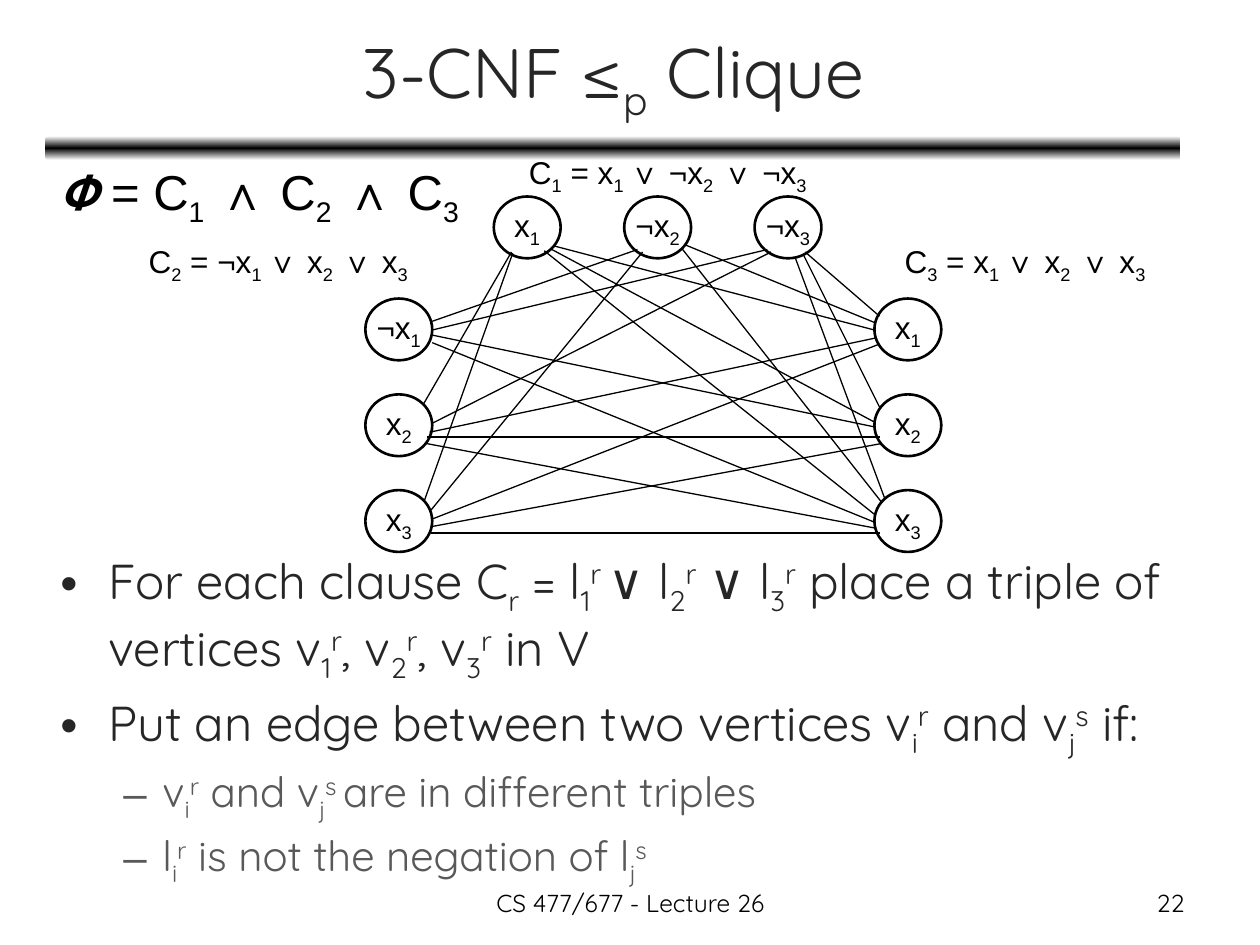
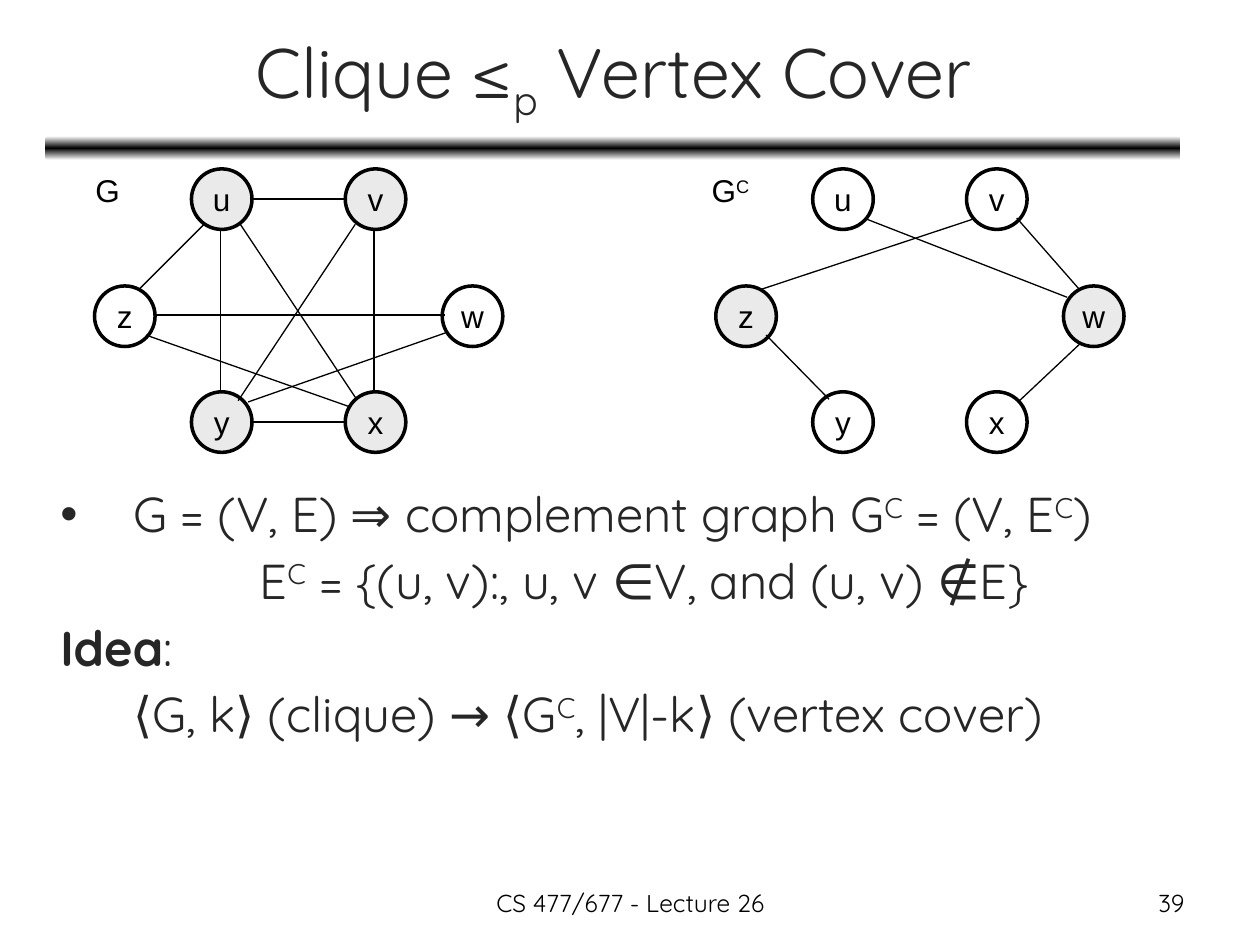
import copy
import itertools

import pptx
import pptx.dml.color
import pptx.enum.shapes
import pptx.enum.text
import pptx.oxml.ns
import pptx.util
from lxml import etree

Pt = pptx.util.Pt
qn = pptx.oxml.ns.qn
Align = pptx.enum.text.PP_ALIGN
Anchor = pptx.enum.text.MSO_ANCHOR
AutoSize = pptx.enum.text.MSO_AUTO_SIZE
Preset = pptx.enum.shapes.MSO_SHAPE

COLOURS = {"ink": "000000", "heading": "262626", "detail": "595959",
           "paper": "FFFFFF", "marked": "EAEAEA"}
BASELINES = {"_": "-25000", "^": "30000"}

CLAUSE_EDGES = [
    (292.3, 144, 241.9, 231.1), (293, 144.7, 242.6, 285.8),
    (316.1, 140.4, 499.7, 188.6), (315.4, 142.6, 499.7, 241.2),
    (311, 143.3, 500.4, 294.5), (364.3, 142.6, 247, 183.6),
    (367.2, 144, 246.2, 291.6), (391, 139.7, 499.7, 184.3),
    (389.5, 141.8, 504, 287.3), (438.5, 142.6, 247, 188.6),
    (440.6, 144, 247, 241.9), (460.1, 144, 502.6, 180.7),
    (459.4, 146.2, 502.6, 232.6), (454.3, 146.9, 505.4, 284.4),
    (247, 191.5, 500.4, 244.1), (247, 195.8, 499, 298.1),
    (245.5, 247, 501.1, 193), (244.1, 249.8, 502.6, 249.8),
    (243.4, 253.4, 499.7, 301.7), (247, 296.6, 502.6, 196.6),
    (246.2, 301, 504, 253.4), (246.2, 304.6, 502.6, 304.6),
]
GRAPH_EDGES = [
    (142.6, 113.8, 197.3, 113.8), (143.3, 241.2, 198, 241.2),
    (89.3, 180, 254.2, 180), (126, 131, 126, 223.9),
    (213.8, 131, 213.8, 223.9), (79.2, 165.6, 116.6, 128.2),
    (83.5, 191.5, 200.2, 232.6), (136.8, 127.4, 203.8, 228.2),
    (203, 128.2, 136.1, 229), (141.8, 229.7, 254.9, 190.1),
]
COMPLEMENT_EDGES = [
    (434.2, 165.6, 555.8, 125.3), (437.8, 191.5, 473.8, 228.2),
    (495.4, 125.3, 609.8, 169.9), (617, 196.6, 581.8, 229.7),
    (581, 124.6, 617, 165.6),
]
VERTICES = {"u": (109.4, 96.5), "v": (197.3, 96.5), "z": (54, 163.4),
            "w": (252.7, 163.4), "y": (109.4, 223.9), "x": (197.3, 223.9)}
COMPLEMENT_SHIFT = 355


def rgb(name):
    return pptx.dml.color.RGBColor.from_string(COLOURS[name])


def marked_letters(text):
    letters = iter(text)
    for letter in letters:
        if letter in BASELINES:
            yield letter, next(letters)
        else:
            yield "", letter


class LectureDeck:
    body_font = "Quicksand"
    diagram_font = "Arial"

    def __init__(self):
        self.deck = pptx.Presentation()
        self.deck.slide_width = Pt(720)
        self.deck.slide_height = Pt(540)
        self.slide = None

    def add_text(self, paragraph, text, font, size, colour="ink"):
        for mark, group in itertools.groupby(marked_letters(text), lambda pair: pair[0]):
            run = paragraph.add_run()
            run.text = "".join(letter for _, letter in group)
            run.font.name = font
            run.font.size = Pt(size)
            run.font.color.rgb = rgb(colour)
            if mark:
                run.font._element.set("baseline", BASELINES[mark])

    def new_slide(self, title, number):
        self.slide = self.deck.slides.add_slide(self.deck.slide_layouts[5])
        self.band()
        heading = self.slide.shapes.title
        heading.left, heading.top, heading.width, heading.height = map(Pt, (26.6, 7.9, 648, 71.3))
        heading.text_frame.vertical_anchor = Anchor.MIDDLE
        paragraph = heading.text_frame.paragraphs[0]
        paragraph.alignment = Align.CENTER
        self.add_text(paragraph, title, self.body_font, 40, "heading")
        self.footer("CS 477/677 - Lecture 26", 246.2, 228.2, Align.CENTER)
        self.footer(number, 516.2, 167.8, Align.RIGHT)

    def band(self):
        band = self.slide.shapes.add_shape(Preset.ROUNDED_RECTANGLE,
                                           *map(Pt, (25.9, 77.8, 648.7, 13.7)))
        band.shadow.inherit = False
        band.line.fill.background()
        band.fill.gradient()
        band.fill.gradient_angle = 90
        edge, middle = band.fill.gradient_stops
        edge.color.rgb, middle.color.rgb = rgb("paper"), rgb("ink")
        edge.position, middle.position = 0, 0.5
        stops = band._element.spPr.find(qn("a:gradFill")).find(qn("a:gsLst"))
        last = copy.deepcopy(stops[0])
        last.set("pos", "100000")
        stops.append(last)

    def text_box(self, left, top, width, height):
        frame = self.slide.shapes.add_textbox(*map(Pt, (left, top, width, height))).text_frame
        frame.word_wrap = True
        return frame

    def footer(self, text, left, width, alignment):
        paragraph = self.text_box(left, 504, width, 25.2).paragraphs[0]
        paragraph.alignment = alignment
        self.add_text(paragraph, text, self.body_font, 14)

    def label(self, text, left, top, width, height=28.8, size=18):
        frame = self.text_box(left, top, width, height)
        frame.word_wrap = False
        frame.auto_size = AutoSize.SHAPE_TO_FIT_TEXT
        self.add_text(frame.paragraphs[0], text, self.diagram_font, size)
        return frame.paragraphs[0]

    def node(self, text, left, top, width, height, line, fill="paper", spacing=1.0):
        node = self.slide.shapes.add_shape(Preset.OVAL, *map(Pt, (left, top, width, height)))
        node.shadow.inherit = False
        node.fill.solid()
        node.fill.fore_color.rgb = rgb(fill)
        node.line.color.rgb = rgb("ink")
        node.line.width = Pt(line)
        node.text_frame.word_wrap = False
        node.text_frame.vertical_anchor = Anchor.MIDDLE
        paragraph = node.text_frame.paragraphs[0]
        paragraph.alignment = Align.CENTER
        paragraph.line_spacing = spacing
        self.add_text(paragraph, text, self.diagram_font, 18)

    def edges(self, ends):
        for end in ends:
            edge = self.slide.shapes.add_connector(pptx.enum.shapes.MSO_CONNECTOR.STRAIGHT,
                                                   *map(Pt, end))
            edge.line.color.rgb = rgb("ink")
            edge.line.width = Pt(0.75)
            etree.SubElement(edge._element.spPr, qn("a:effectLst"))

    def graph(self, shift, marked, ends):
        for name, (left, top) in VERTICES.items():
            self.node(name, left + shift, top, 34.6, 34.6, 2,
                      "marked" if name in marked else "paper")
        self.edges(ends)

    def body(self, top, height, width, items):
        frame = self.text_box(27.4, top, width, height)
        for index, (text, bullet, margin, indent, level) in enumerate(items):
            paragraph = frame.add_paragraph() if index else frame.paragraphs[0]
            size, colour = ((28, "heading"), (24, "detail"))[level]
            paragraph.level = level
            if index:
                paragraph.space_before = Pt(size * 0.16)
            properties = paragraph._p.get_or_add_pPr()
            properties.set("marL", str(Pt(margin)))
            properties.set("indent", str(Pt(indent)))
            if bullet:
                etree.SubElement(properties, qn("a:buFont")).set("typeface", self.diagram_font)
                etree.SubElement(properties, qn("a:buChar")).set("char", bullet)
            else:
                etree.SubElement(properties, qn("a:buNone"))
            self.add_text(paragraph, text, self.body_font, size, colour)
        return frame.paragraphs


def clique_slide(lecture):
    lecture.new_slide("3-CNF ≤_p Clique", "22")
    lecture.body(311, 216.7, 676.8, [
        ("For each clause C_r = l_1^r^ ∨ l_2^r ∨ l_3^r place a triple of vertices "
         "v_1^r, v_2^r, v_3^r in V", "•", 27.4, -27.4, 0),
        ("Put an edge between two vertices v_i^r and v_j^s if:", "•", 27.4, -27.4, 0),
        ("v_i^r and v_j^s^ are in different triples", "–", 58.3, -22.3, 1),
        ("l_i^r is not the negation of l_j^s", "–", 58.3, -22.3, 1),
    ])
    triples = [
        (("x_1", "¬x_2", "¬x_3"), 282.2, 112.3, 74.5, 0),
        (("x_1", "x_2", "x_3"), 499.7, 170.6, 0, 54.75),
        (("¬x_1", "x_2", "x_3"), 208.8, 170.6, 0, 54.75),
    ]
    for literals, left, top, step_x, step_y in triples:
        for place, literal in enumerate(literals):
            lecture.node(literal, left + place * step_x, top + place * step_y,
                         38.2, 35.3, 1.5, spacing=0.8)
    lecture.edges(CLAUSE_EDGES)
    lecture.label("C_1 = x_1_ ∨ ¬x_2 ∨ ¬x_3", 295.2, 84.2, 185)
    lecture.label("C_2 = ¬x_1_ ∨ x_2 ∨ x_3", 77.8, 134.6, 172.1)
    lecture.label("C_3 = x_1_ ∨ x_2 ∨ x_3", 509.8, 134.6, 159.1)
    formula = lecture.label("𝚽", 26.6, 88.6, 251.3, 41, 28)
    formula.runs[0].font.italic = True
    lecture.add_text(formula, " = C_1 ∧ C_2 ∧ C_3", lecture.diagram_font, 28)


def vertex_cover_slide(lecture):
    lecture.new_slide("Clique ≤_p Vertex Cover", "39")
    lecture.graph(0, "uvxy", GRAPH_EDGES)
    lecture.graph(COMPLEMENT_SHIFT, "zw", COMPLEMENT_EDGES)
    lecture.label("G", 47.5, 94.3, 28.8)
    lecture.label("G^C", 399.6, 94.3, 37.4)
    definition = lecture.body(272.9, 241.2, 672.5, [
        ("G = (V, E) ⇒ complement graph G^C = (V, E^C)", "•", 41.8, -41.8, 0),
        ("E^C = {(u, v):, u, v ∈V, and (u, v) ∉E}", "", 113.8, 0, 0),
        ("Idea", "", 0, 0, 0),
        ("⟨G, k⟩ (clique) → ⟨G^C, |V|-k⟩ (vertex cover)", "", 41.8, 0, 0),
    ])
    idea = definition[2]
    idea.runs[0].font.bold = True
    lecture.add_text(idea, ":", lecture.body_font, 28, "heading")


def main():
    lecture = LectureDeck()
    clique_slide(lecture)
    vertex_cover_slide(lecture)
    lecture.deck.save("out.pptx")


if __name__ == "__main__":
    main()
